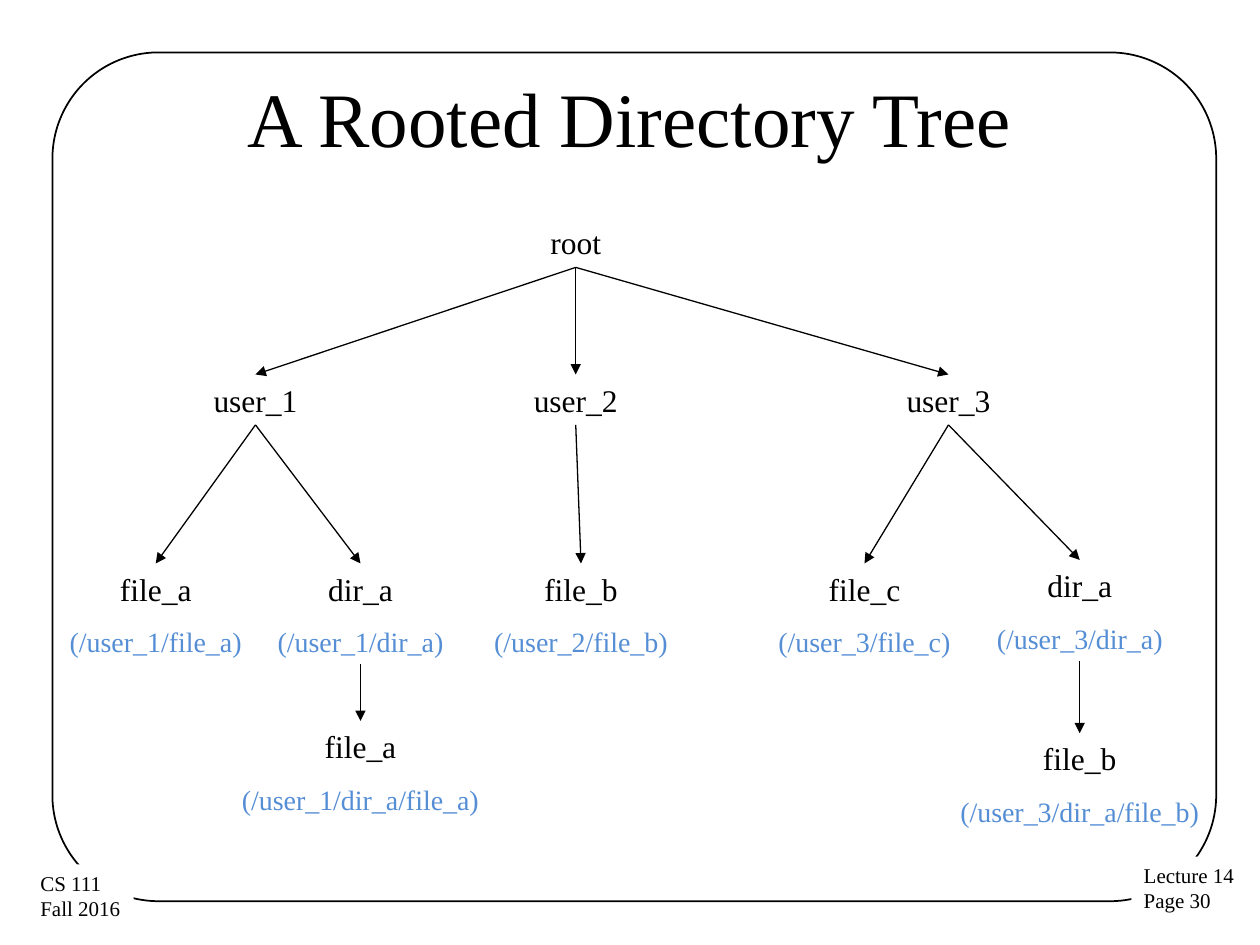
from lxml import etree
from pptx import Presentation
from pptx.dml.color import RGBColor
from pptx.enum.shapes import MSO_CONNECTOR, MSO_SHAPE
from pptx.enum.text import MSO_ANCHOR, PP_ALIGN
from pptx.oxml.ns import qn
from pptx.util import Pt

ROUNDED, RECT = MSO_SHAPE.ROUNDED_RECTANGLE, MSO_SHAPE.RECTANGLE
STRAIGHT = MSO_CONNECTOR.STRAIGHT
LEFT, CENTER = PP_ALIGN.LEFT, PP_ALIGN.CENTER
TOP, MIDDLE = MSO_ANCHOR.TOP, MSO_ANCHOR.MIDDLE

# Content
FONT = "Times New Roman"
BLACK, WHITE, PATH_BLUE = "000000", "FFFFFF", "558ED5"
TITLE = "A Rooted Directory Tree"
FOOTERS = [  # lines, (left, top, width, height)
    (["Lecture 14", "Page 30"], (646.5, 489.5, 67, 37)),
    (["CS 111", "Fall 2016"], (16, 494, 60.5, 37)),
]
# full path: (parent, label, centre x, top, width); files and subfolders show their path
NODES = {
    "/": (None, "root", 329, 124, 66),
    "/user_1": ("/", "user_1", 146, 214, 84),
    "/user_2": ("/", "user_2", 329, 214, 84),
    "/user_3": ("/", "user_3", 542, 214, 84),
    "/user_1/file_a": ("/user_1", "file_a", 89, 322, 150),
    "/user_1/dir_a": ("/user_1", "dir_a", 206, 322, 120),
    "/user_2/file_b": ("/user_2", "file_b", 332, 322, 132),
    "/user_3/file_c": ("/user_3", "file_c", 494, 322, 132),
    "/user_3/dir_a": ("/user_3", "dir_a", 617, 320, 126),
    "/user_1/dir_a/file_a": ("/user_1/dir_a", "file_a", 206, 412, 216),
    "/user_3/dir_a/file_b": ("/user_3/dir_a", "file_b", 617, 419, 174),
}
LABEL_HEIGHT, LABEL_AND_PATH_HEIGHT = 28.8, 57.6


def rgb(hex_color):
    return RGBColor.from_string(hex_color)


def write(shape, lines, align, anchor=TOP, wrap=True, gap=0):
    """Fill a shape with (text, size, colour) lines."""
    frame = shape.text_frame
    frame.text = "\n".join(text for text, _, _ in lines)
    frame.word_wrap = wrap
    frame.vertical_anchor = anchor
    for index, (paragraph, (_, size, color)) in enumerate(zip(frame.paragraphs, lines)):
        paragraph.alignment = align
        if index:
            paragraph.space_before = Pt(gap)
        font = paragraph.runs[0].font
        font.name, font.size = FONT, Pt(size)
        font.color.rgb = rgb(color)


def add_text(box, lines, **style):
    write(slide.shapes.add_textbox(*map(Pt, box)), lines, CENTER, **style)


def add_arrow(start, end):
    arrow = slide.shapes.add_connector(STRAIGHT, *map(Pt, start + end))
    arrow.line.color.rgb = rgb(BLACK)
    arrow.line.width = Pt(0.75)
    etree.SubElement(arrow.line._get_or_add_ln(), qn("a:tailEnd"), type="triangle")
    etree.SubElement(arrow._element.spPr, qn("a:effectLst"))


def node_height(node):
    return LABEL_AND_PATH_HEIGHT if node.count("/") > 1 else LABEL_HEIGHT


prs = Presentation()
prs.slide_width, prs.slide_height = Pt(720), Pt(540)
slide = prs.slides.add_slide(prs.slide_layouts[6])

# Rounded frame
border = slide.shapes.add_shape(ROUNDED, Pt(30), Pt(30), Pt(665), Pt(485))
border.adjustments[0] = 0.125
border.shadow.inherit = False
border.fill.background()
border.line.color.rgb = rgb(BLACK)
border.line.width = Pt(1)

# Footers covering the frame's lower corners
for footer_lines, place in FOOTERS:
    footer = slide.shapes.add_shape(RECT, *map(Pt, place))
    footer.shadow.inherit = False
    footer.fill.solid()
    footer.fill.fore_color.rgb = rgb(WHITE)
    footer.line.fill.background()
    write(footer, [(text, 12, BLACK) for text in footer_lines], LEFT, wrap=False)

# Title
add_text((36, 21.6, 648, 90), [(TITLE, 44, BLACK)], anchor=MIDDLE)

# Tree labels
for node, (_, label, center, top, width) in NODES.items():
    lines = [(label, 18, BLACK)]
    if node.count("/") > 1:
        lines.append((f"({node})", 16, PATH_BLUE))
    add_text((center - width / 2, top, width, node_height(node)), lines, gap=10)

# Arrows from each parent to its children
for parent, _, center, top, _ in NODES.values():
    if parent:
        _, _, parent_center, parent_top, _ = NODES[parent]
        add_arrow((parent_center, parent_top + node_height(parent)), (center, top))

prs.save("out.pptx")
